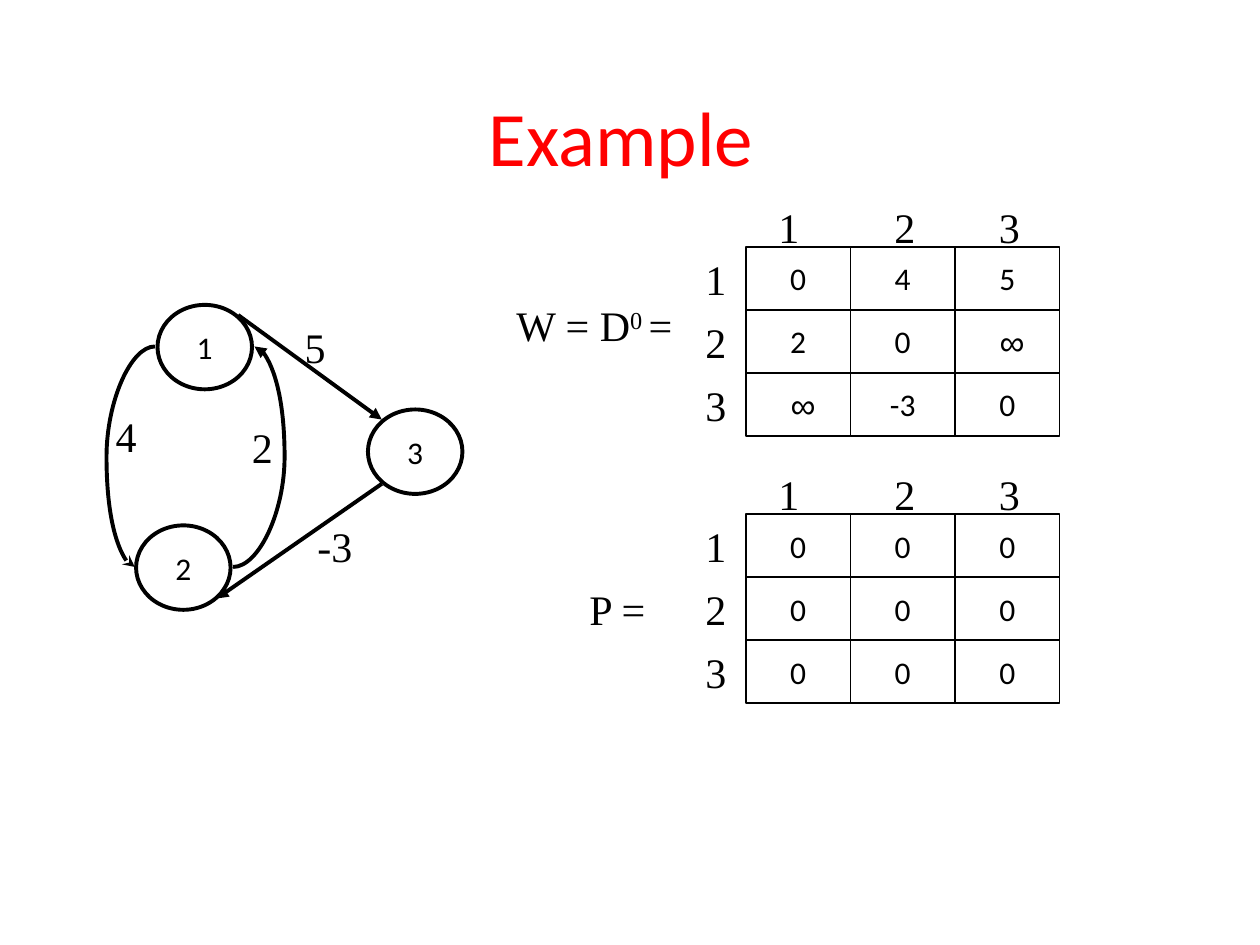
from dataclasses import dataclass

from lxml import etree
from pptx import Presentation
from pptx import util as u
from pptx.dml.color import RGBColor
from pptx.enum import shapes, text
from pptx.oxml.ns import qn


@dataclass(frozen=True)
class Theme:
    ink: RGBColor = RGBColor(0, 0, 0)
    accent: RGBColor = RGBColor(255, 0, 0)
    sans: str = "Calibri"
    serif: str = "Times New Roman"
    symbol: str = "Arial"
    title_pt: float = 44
    label_pt: float = 24
    symbol_pt: float = 20
    value_pt: float = 18
    cell_line: float = 1
    graph_line: float = 2.25


@dataclass(frozen=True)
class Label:
    text: str
    left: float
    top: float
    width: float = 0.37


@dataclass(frozen=True)
class Node:
    name: str
    left: float
    top: float


@dataclass(frozen=True)
class Edge:
    start: tuple[float, float]
    end: tuple[float, float]
    head: str | None = None
    tail: str | None = None
    bend: int | None = None  # curve adjustment, in 1/100000 of the width


@dataclass(frozen=True)
class Matrix:
    top: float
    rows: tuple[tuple[str, ...], ...]


T = Theme()
CELL_W, CELL_H = 0.83, 0.5
MATRIX_LEFT, ROW_LABEL_LEFT = 5.92, 5.5
COLUMN_LABEL_LEFTS = (6.08, 7, 7.83)
COLUMN_LABEL_RISE = 0.41

MATRICES = (
    Matrix(1.96, (("0", "4", "5"), ("2", "0", " ∞"), (" ∞", "-3", "0"))),
    Matrix(4.08, (("0",) * 3,) * 3),
)
NODES = (Node("1", 1.25, 2.42), Node("2", 1.08, 4.17), Node("3", 2.92, 3.25))
EDGES = (
    Edge((1.89, 2.5), (3.03, 3.33), tail="triangle"),
    Edge((3.03, 3.84), (1.72, 4.75), tail="triangle"),
    Edge((1.07, 4.5), (1.23, 2.75), head="stealth", bend=-140600),
    Edge((1.85, 4.5), (2.02, 2.75), tail="triangle", bend=240600),
)
WEIGHTS = (
    Label("5", 2.32, 2.5),
    Label("-3", 2.42, 4.08, 0.48),
    Label("2", 1.9, 3.3),
    Label("4", 0.82, 3.21),
)


def add_run(p, content: str, font: str, size: float, color: RGBColor = T.ink):
    r = p.add_run()
    r.text = content
    r.font.name = font
    r.font.size = u.Pt(size)
    r.font.color.rgb = color
    return r


def add_label(parent, label: Label):
    sp = parent.add_textbox(u.Inches(label.left), u.Inches(label.top),
                            u.Inches(label.width), u.Inches(0.5))
    tf = sp.text_frame
    tf.word_wrap = False
    tf.auto_size = text.MSO_AUTO_SIZE.SHAPE_TO_FIT_TEXT
    p = tf.paragraphs[0]
    add_run(p, label.text, T.serif, T.label_pt)
    return p


def add_box(parent, kind, left: float, top: float, width: float, height: float,
            content: str, line: float) -> None:
    sp = parent.add_shape(kind, u.Inches(left), u.Inches(top),
                          u.Inches(width), u.Inches(height))
    sp.shadow.inherit = False
    sp.fill.background()
    sp.line.color.rgb = T.ink
    sp.line.width = u.Pt(line)
    tf = sp.text_frame
    tf.word_wrap = False
    tf.vertical_anchor = text.MSO_ANCHOR.MIDDLE
    p = tf.paragraphs[0]
    p.alignment = text.PP_ALIGN.CENTER
    is_symbol = "∞" in content
    add_run(p, content, T.symbol if is_symbol else T.sans,
            T.symbol_pt if is_symbol else T.value_pt)


def add_matrix(s, m: Matrix) -> None:
    group = s.shapes.add_group_shape().shapes
    for i, row in enumerate(m.rows):
        for j, value in enumerate(row):
            add_box(group, shapes.MSO_SHAPE.RECTANGLE, MATRIX_LEFT + j * CELL_W,
                    m.top + i * CELL_H, CELL_W, CELL_H, value, T.cell_line)
    for i, left in enumerate(COLUMN_LABEL_LEFTS):
        add_label(group, Label(str(i + 1), left, m.top - COLUMN_LABEL_RISE))
        add_label(group, Label(str(i + 1), ROW_LABEL_LEFT, m.top + i * CELL_H))


def add_edge(s, e: Edge) -> None:
    kind = shapes.MSO_CONNECTOR.STRAIGHT if e.bend is None else shapes.MSO_CONNECTOR.CURVE
    cx = s.shapes.add_connector(kind, *(u.Inches(v) for v in e.start + e.end))
    cx.line.color.rgb = T.ink
    cx.line.width = u.Pt(T.graph_line)
    sp_pr = cx._element.spPr
    ln = sp_pr.find(qn("a:ln"))
    for tag, arrow in (("a:headEnd", e.head), ("a:tailEnd", e.tail)):
        if arrow:
            etree.SubElement(ln, qn(tag), type=arrow)
    etree.SubElement(sp_pr, qn("a:effectLst"))
    if e.bend is not None:
        geom = sp_pr.find(qn("a:prstGeom"))
        av = geom.find(qn("a:avLst"))
        if av is None:
            av = etree.SubElement(geom, qn("a:avLst"))
        etree.SubElement(av, qn("a:gd"), name="adj1", fmla=f"val {e.bend}")


def main() -> None:
    prs = Presentation()
    prs.slide_width, prs.slide_height = u.Inches(10), u.Inches(7.5)
    s = prs.slides.add_slide(prs.slide_layouts[5])

    # Title
    title = s.shapes.title
    title.left, title.top = u.Inches(0.75), u.Inches(0.7)
    title.width, title.height = u.Inches(8.5), u.Inches(0.75)
    title.text_frame.vertical_anchor = text.MSO_ANCHOR.MIDDLE
    p = title.text_frame.paragraphs[0]
    p.alignment = text.PP_ALIGN.CENTER
    add_run(p, "Example ", T.sans, T.title_pt, T.accent)

    # Matrices and their names
    p = add_label(s.shapes, Label("W = D", 4, 2.33, 1.47))
    power = add_run(p, "0 ", T.serif, T.label_pt)
    power.font._element.set("baseline", "30000")
    add_run(p, "=", T.serif, T.label_pt)
    for m in MATRICES:
        add_matrix(s, m)
    add_label(s.shapes, Label("P =", 4.58, 4.58, 0.66))

    # Weighted graph
    for n in NODES:
        add_box(s.shapes, shapes.MSO_SHAPE.OVAL, n.left, n.top, 0.75, 0.67,
                n.name, T.graph_line)
    for e in EDGES:
        add_edge(s, e)
    for w in WEIGHTS:
        add_label(s.shapes, w)

    prs.save("out.pptx")


if __name__ == "__main__":
    main()
